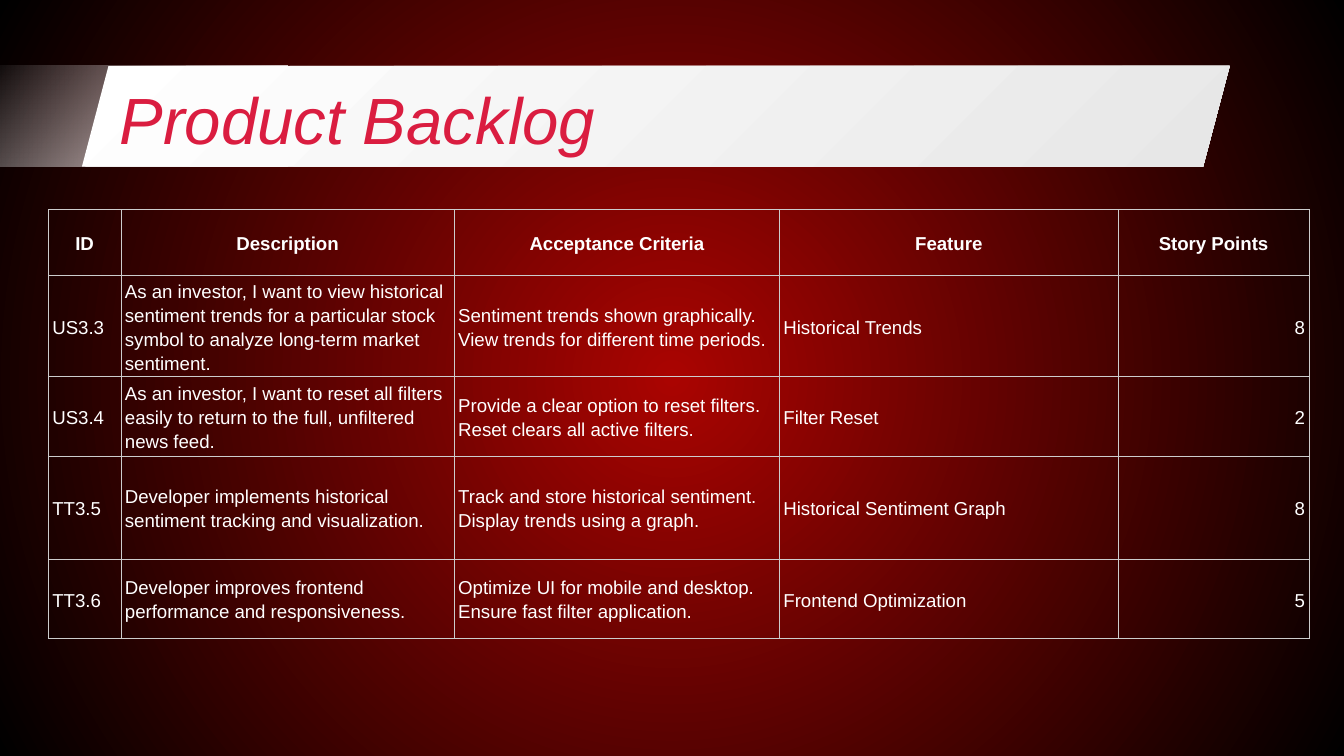
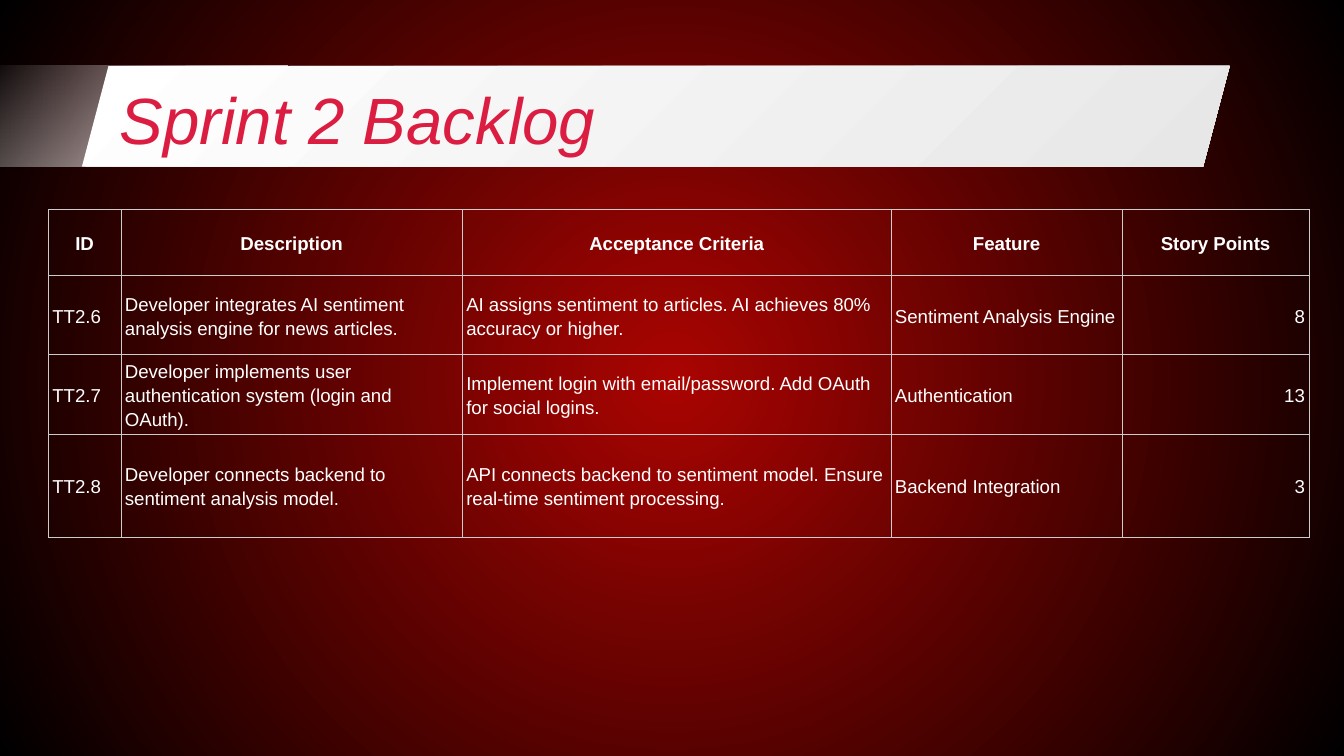
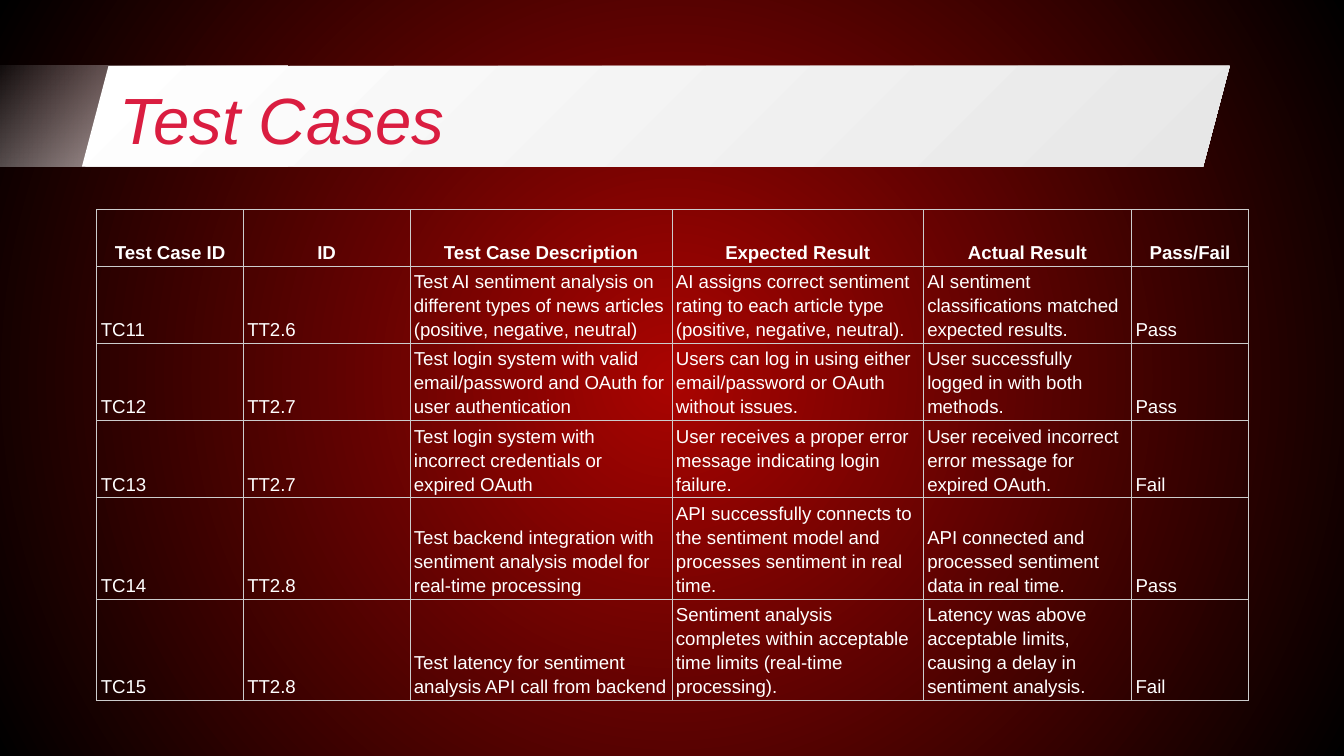
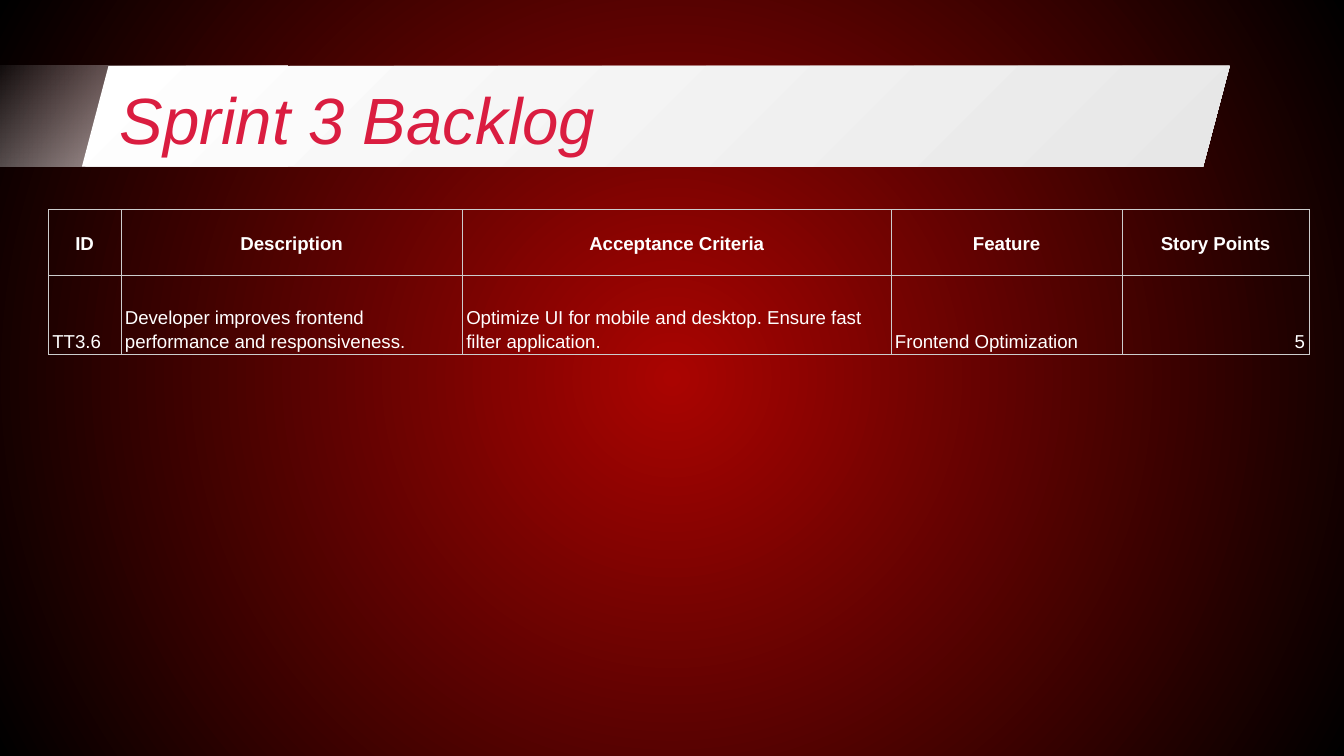
from lxml import etree
from pptx import Presentation, util as u
from pptx.dml import color as dml
from pptx.enum import shapes, text
from pptx.oxml import ns

FONT = "Arial"
WHITE, TITLE_RED, BORDER = "FFFFFF", "DA1D40", "CCCCCC"
CENTER_RED, EDGE_BLACK, BAND_GRAY = "AA0401", "000000", "E7E7E7"
MIDDLE, BOTTOM = text.MSO_ANCHOR.MIDDLE, text.MSO_ANCHOR.BOTTOM
LEFT, CENTER, RIGHT = text.PP_ALIGN.LEFT, text.PP_ALIGN.CENTER, text.PP_ALIGN.RIGHT


def rgb(value):
    return dml.RGBColor.from_string(value)


def write(frame, content, size=10, color=WHITE, bold=False, italic=False,
          align=LEFT, spacing=1.15):
    paragraph = frame.paragraphs[0]
    paragraph.alignment = align
    paragraph.line_spacing = spacing
    run = paragraph.add_run()
    run.text = content
    font = run.font
    font.name, font.size = FONT, u.Pt(size)
    font.bold, font.italic = bold, italic
    font.color.rgb = rgb(color)


BACKLOG_HEADER = ["ID", "Description", "Acceptance Criteria", "Feature", "Story Points"]
SPRINT_COLUMNS = [0.54, 2.54, 3.19, 1.72, 1.39]

PAGES = [
    {
        "title": "Product Backlog", "left": 0.36,
        "header_anchor": MIDDLE, "body_anchor": MIDDLE,
        "columns": [0.54, 2.48, 2.42, 2.52, 1.42],
        "heights": [0.49, 0.59, 0.59, 0.77, 0.59],
        "rows": [
            BACKLOG_HEADER,
            ["US3.3",
             "As an investor, I want to view historical sentiment trends for a "
             "particular stock symbol to analyze long-term market sentiment.",
             "Sentiment trends shown graphically. View trends for different time periods.",
             "Historical Trends", "8"],
            ["US3.4",
             "As an investor, I want to reset all filters easily to return to the "
             "full, unfiltered news feed.",
             "Provide a clear option to reset filters. Reset clears all active filters.",
             "Filter Reset", "2"],
            ["TT3.5",
             "Developer implements historical sentiment tracking and visualization.",
             "Track and store historical sentiment. Display trends using a graph.",
             "Historical Sentiment Graph", "8"],
            ["TT3.6",
             "Developer improves frontend performance and responsiveness.",
             "Optimize UI for mobile and desktop. Ensure fast filter application.",
             "Frontend Optimization", "5"],
        ],
    },
    {
        "title": "Sprint 2 Backlog", "left": 0.36,
        "header_anchor": MIDDLE, "body_anchor": MIDDLE,
        "columns": SPRINT_COLUMNS,
        "heights": [0.49, 0.59, 0.59, 0.77],
        "rows": [
            BACKLOG_HEADER,
            ["TT2.6",
             "Developer integrates AI sentiment analysis engine for news articles.",
             "AI assigns sentiment to articles. AI achieves 80% accuracy or higher.",
             "Sentiment Analysis Engine", "8"],
            ["TT2.7",
             "Developer implements user authentication system (login and OAuth).",
             "Implement login with email/password. Add OAuth for social logins.",
             "Authentication", "13"],
            ["TT2.8",
             "Developer connects backend to sentiment analysis model.",
             "API connects backend to sentiment model. Ensure real-time sentiment processing.",
             "Backend Integration", "3"],
        ],
    },
    {
        "title": "Test Cases", "left": 0.72,
        "header_anchor": BOTTOM, "body_anchor": BOTTOM,
        "columns": [1.09, 1.24, 1.95, 1.87, 1.55, 0.87],
        "heights": [0.42] * 6,
        "rows": [
            ["Test Case ID", "ID", "Test Case Description", "Expected Result",
             "Actual Result", "Pass/Fail"],
            ["TC11", "TT2.6",
             "Test AI sentiment analysis on different types of news articles "
             "(positive, negative, neutral)",
             "AI assigns correct sentiment rating to each article type "
             "(positive, negative, neutral).",
             "AI sentiment classifications matched expected results.", "Pass"],
            ["TC12", "TT2.7",
             "Test login system with valid email/password and OAuth for user authentication",
             "Users can log in using either email/password or OAuth without issues.",
             "User successfully logged in with both methods.", "Pass"],
            ["TC13", "TT2.7",
             "Test login system with incorrect credentials or expired OAuth",
             "User receives a proper error message indicating login failure.",
             "User received incorrect error message for expired OAuth.", "Fail"],
            ["TC14", "TT2.8",
             "Test backend integration with sentiment analysis model for real-time processing",
             "API successfully connects to the sentiment model and processes "
             "sentiment in real time.",
             "API connected and processed sentiment data in real time.", "Pass"],
            ["TC15", "TT2.8",
             "Test latency for sentiment analysis API call from backend",
             "Sentiment analysis completes within acceptable time limits "
             "(real-time processing).",
             "Latency was above acceptable limits, causing a delay in sentiment analysis.",
             "Fail"],
        ],
    },
    {
        "title": "Sprint 3 Backlog", "left": 0.36,
        "header_anchor": MIDDLE, "body_anchor": BOTTOM,
        "columns": SPRINT_COLUMNS,
        "heights": [0.49, 0.59],
        "rows": [
            BACKLOG_HEADER,
            ["TT3.6",
             "Developer improves frontend performance and responsiveness.",
             "Optimize UI for mobile and desktop. Ensure fast filter application.",
             "Frontend Optimization", "5"],
        ],
    },
]

BANDS = [
    (shapes.MSO_SHAPE.RECTANGLE, -0.15, 2.29, WHITE),
    (shapes.MSO_SHAPE.PARALLELOGRAM, 0.61, 8.54, BAND_GRAY),
]

presentation = Presentation()
presentation.slide_width = u.Inches(10)
presentation.slide_height = u.Inches(10) * 9 // 16
title_only = presentation.slide_layouts[5]

for page in PAGES:
    slide = presentation.slides.add_slide(title_only)

    backdrop = slide.background.fill
    backdrop.gradient()
    for stop, color in zip(backdrop.gradient_stops, (CENTER_RED, EDGE_BLACK)):
        stop.color.rgb = rgb(color)
    linear = slide.element.xpath(".//a:lin")[0]
    circle = etree.Element(ns.qn("a:path"), path="circle")
    etree.SubElement(circle, ns.qn("a:fillToRect"),
                     l="50000", t="50000", r="50000", b="50000")
    linear.getparent().replace(linear, circle)

    title = slide.shapes.title
    title.left, title.top = u.Inches(0.79), u.Inches(0.49)
    title.width, title.height = u.Inches(8.43), u.Inches(0.63)
    frame = title.text_frame
    frame.auto_size = text.MSO_AUTO_SIZE.NONE
    frame.word_wrap = True
    frame.vertical_anchor = text.MSO_ANCHOR.TOP
    frame.margin_left = frame.margin_right = u.Inches(0.1)
    frame.margin_top = frame.margin_bottom = u.Inches(0.1)
    write(frame, page["title"], size=35, color=TITLE_RED, italic=True, spacing=1.0)

    banner = slide.shapes.add_group_shape()
    for kind, left, width, end_color in BANDS:
        band = banner.shapes.add_shape(
            kind, u.Inches(left), u.Inches(0.49), u.Inches(width), u.Inches(0.75))
        band.shadow.inherit = False
        band.line.fill.background()
        band.fill.gradient()
        band.fill.gradient_angle = 315
        for stop, color in zip(band.fill.gradient_stops, (WHITE, end_color)):
            stop.color.rgb = rgb(color)
        if kind == shapes.MSO_SHAPE.PARALLELOGRAM:
            band.adjustments[0] = 0.264
        else:
            first_color = band.element.xpath(".//a:gs/a:srgbClr")[0]
            etree.SubElement(first_color, ns.qn("a:alpha"), val="0")
    title.element.addprevious(banner.element)

    table = slide.shapes.add_table(
        len(page["rows"]), len(page["columns"]), u.Inches(page["left"]), u.Inches(1.56),
        u.Inches(sum(page["columns"])), u.Inches(sum(page["heights"]))).table
    table.first_row = table.horz_banding = False
    for column, width in zip(table.columns, page["columns"]):
        column.width = u.Inches(width)
    for row, height in zip(table.rows, page["heights"]):
        row.height = u.Inches(height)

    for row_index, values in enumerate(page["rows"]):
        is_header = row_index == 0
        for column_index, value in enumerate(values):
            cell = table.cell(row_index, column_index)
            cell.margin_left = cell.margin_right = u.Inches(0.03)
            cell.margin_top = cell.margin_bottom = u.Inches(0.02)
            cell.vertical_anchor = page["header_anchor" if is_header else "body_anchor"]
            align = CENTER if is_header else RIGHT if value.isdigit() else LEFT
            write(cell.text_frame, value, bold=is_header, align=align)
            properties = cell._tc.get_or_add_tcPr()
            for side in ("lnL", "lnR", "lnT", "lnB"):
                border = etree.SubElement(properties, ns.qn("a:" + side),
                                          w=str(u.Pt(0.42)))
                solid = etree.SubElement(border, ns.qn("a:solidFill"))
                etree.SubElement(solid, ns.qn("a:srgbClr"), val=BORDER)
            cell.fill.background()

presentation.save("out.pptx")
